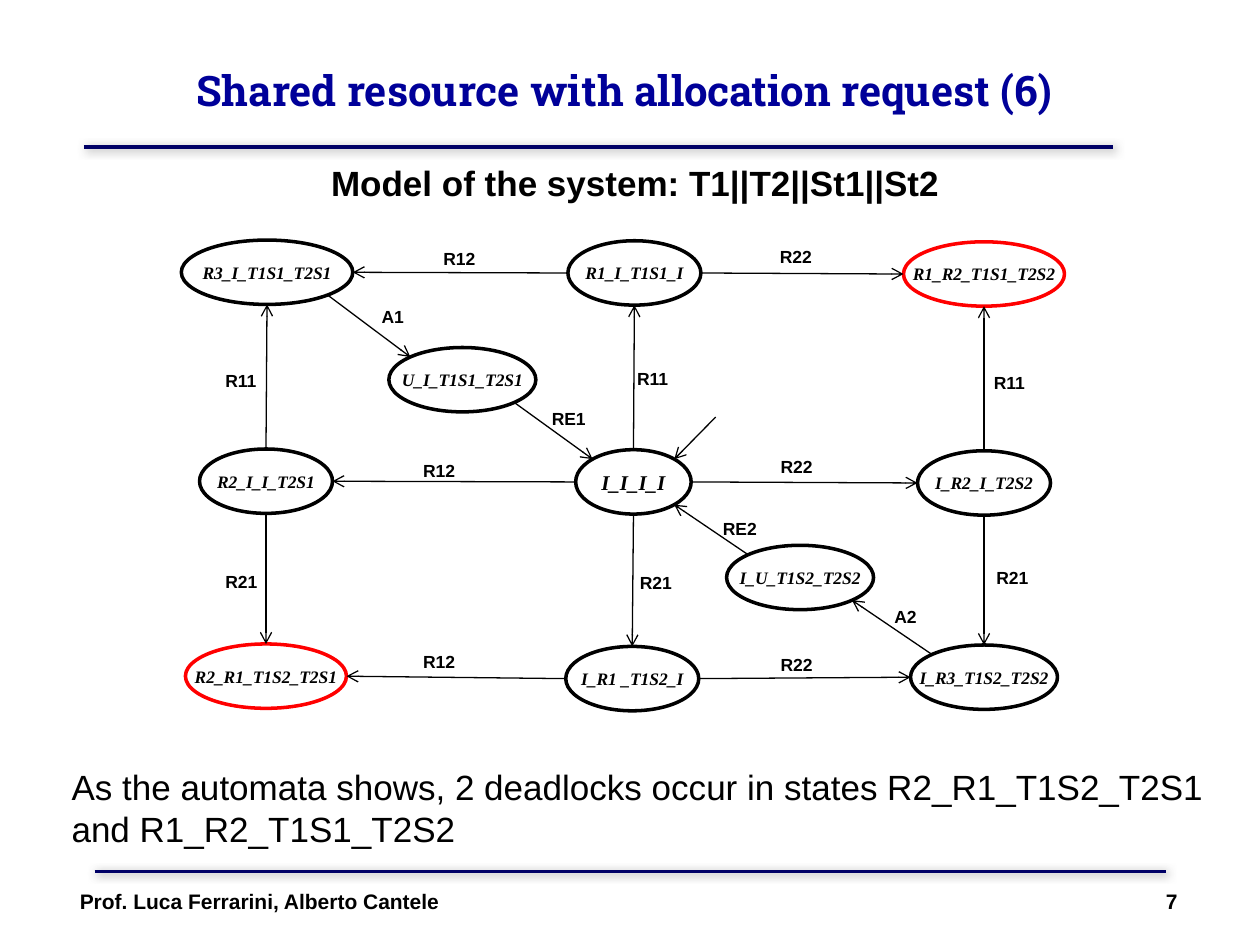
from lxml import etree
from pptx import Presentation, util as u
from pptx.dml import color
from pptx.enum import shapes, text
from pptx.oxml import ns

BLACK, RED, WHITE, NAVY, BLUE = "000000", "FF0000", "FFFFFF", "000066", "000099"
STATE_HEIGHT = 36.8
DIAGONAL = 0.5 ** 0.5
# Unit directions from the centre of a state to its border
SIDES = {
    "top": (0, -1), "bottom": (0, 1), "left": (-1, 0), "right": (1, 0),
    "top left": (-DIAGONAL, -DIAGONAL), "top right": (DIAGONAL, -DIAGONAL),
    "bottom left": (-DIAGONAL, DIAGONAL), "bottom right": (DIAGONAL, DIAGONAL),
}


def rgb(hex_colour):
    return color.RGBColor.from_string(hex_colour)


class Deck:
    """Style and current slide; every length is in points."""
    sans, serif, slab = "Arial", "Times New Roman", "Roboto Slab"

    def __init__(self, width, height):
        self.prs = Presentation()
        self.prs.slide_width, self.prs.slide_height = u.Pt(width), u.Pt(height)
        self.slide = self.prs.slides.add_slide(self.prs.slide_layouts[5])

    def set_words(self, shape, words, size, font, colour=BLACK, bold=True,
                  italic=False, align=text.PP_ALIGN.LEFT):
        frame = shape.text_frame
        frame.text = words
        for paragraph in frame.paragraphs:
            paragraph.alignment = align
            for run in paragraph.runs:
                run.font.size, run.font.name = u.Pt(size), font
                run.font.bold, run.font.italic = bold, italic
                run.font.color.rgb = rgb(colour)

    def title(self, words, left, top, width, height):
        heading = self.slide.shapes.title
        heading.left, heading.top = u.Pt(left), u.Pt(top)
        heading.width, heading.height = u.Pt(width), u.Pt(height)
        heading.text_frame.auto_size = text.MSO_AUTO_SIZE.NONE
        heading.text_frame.vertical_anchor = text.MSO_ANCHOR.MIDDLE
        self.set_words(heading, words, 24, self.slab, BLUE,
                       align=text.PP_ALIGN.CENTER)

    def textbox(self, words, left, top, width, height, size, **style):
        box = self.slide.shapes.add_textbox(
            u.Pt(left), u.Pt(top), u.Pt(width), u.Pt(height))
        box.text_frame.word_wrap = True
        self.set_words(box, words, size, self.sans, **style)

    def state(self, name, centre_x, centre_y, width, outline=BLACK, size=10):
        oval = self.slide.shapes.add_shape(
            shapes.MSO_SHAPE.OVAL, u.Pt(centre_x - width / 2),
            u.Pt(centre_y - STATE_HEIGHT / 2), u.Pt(width), u.Pt(STATE_HEIGHT))
        oval.shadow.inherit = False
        oval.fill.solid()
        oval.fill.fore_color.rgb = rgb(WHITE)
        oval.line.color.rgb = rgb(outline)
        oval.line.width = u.Pt(2)
        frame = oval.text_frame
        frame.word_wrap = False
        frame.vertical_anchor = text.MSO_ANCHOR.MIDDLE
        frame.margin_left = frame.margin_right = 0
        frame.margin_top = frame.margin_bottom = 0
        self.set_words(oval, name, size, self.serif, italic=True,
                       align=text.PP_ALIGN.CENTER)

    def line(self, start, end, colour, width):
        connector = self.slide.shapes.add_connector(
            shapes.MSO_CONNECTOR.STRAIGHT, *(u.Pt(v) for v in (*start, *end)))
        connector.line.color.rgb = rgb(colour)
        connector.line.width = u.Pt(width)
        effects = etree.SubElement(connector._element.spPr, ns.qn("a:effectLst"))
        return connector, effects

    def arrow(self, start, end):
        connector, _ = self.line(start, end, BLACK, 0.75)
        etree.SubElement(connector.line._get_or_add_ln(),
                         ns.qn("a:tailEnd"), type="arrow")

    def rule(self, left, right, y):
        _, effects = self.line((left, y), (right, y), NAVY, 2.25)
        shadow = etree.SubElement(
            effects, ns.qn("a:outerShdw"), blurRad=str(u.Pt(5)),
            dist=str(u.Pt(1.4)), dir="2700000", algn="ctr", rotWithShape="0")
        grey = etree.SubElement(shadow, ns.qn("a:srgbClr"), val="808080")
        etree.SubElement(grey, ns.qn("a:alpha"), val="75000")


# name: centre x, centre y, width, and outline or size where they differ
STATES = {
    "I_I_I_I": (362, 275.4, 66, BLACK, 12),
    "R1_I_T1S1_I": (362.5, 156, 76),
    "I_R2_I_T2S2": (562.3, 276, 76),
    "I_R1 _T1S2_I": (361.3, 387.8, 76),
    "R2_I_I_T2S1": (152, 275, 76),
    "I_R3_T1S2_T2S2": (562.3, 387, 84),
    "I_U_T1S2_T2S2": (457.2, 330, 84),
    "R3_I_T1S1_T2S1": (152.6, 155.6, 98),
    "U_I_T1S1_T2S1": (264.2, 217, 84),
    "R1_R2_T1S1_T2S2": (562.3, 156.6, 92, RED),
    "R2_R1_T1S2_T2S1": (152, 386.4, 92, RED),
}
# from state, side, to state, side, label, label left, label top
TRANSITIONS = [
    ("I_I_I_I", "top", "R1_I_T1S1_I", "bottom", "R11", 357, 206.6),
    ("I_I_I_I", "right", "I_R2_I_T2S2", "left", "R22", 439, 257),
    ("I_I_I_I", "bottom", "I_R1 _T1S2_I", "top", "R21", 358.5, 323.3),
    ("I_I_I_I", "left", "R2_I_I_T2S1", "right", "R12", 234.7, 259.2),
    ("R2_I_I_T2S1", "top", "R3_I_T1S1_T2S1", "bottom", "R11", 121.7, 208),
    ("R2_I_I_T2S1", "bottom", "R2_R1_T1S2_T2S1", "top", "R21", 121.7, 322.5),
    ("I_R2_I_T2S2", "top", "R1_R2_T1S1_T2S2", "bottom", "R11", 560.8, 208.8),
    ("I_R2_I_T2S2", "bottom", "I_R3_T1S2_T2S2", "top", "R21", 562.3, 320.4),
    ("R1_I_T1S1_I", "left", "R3_I_T1S1_T2S1", "right", "R12", 246.3, 138.2),
    ("R1_I_T1S1_I", "right", "R1_R2_T1S1_T2S2", "left", "R22", 438.5, 136.8),
    ("I_R1 _T1S2_I", "left", "R2_R1_T1S2_T2S1", "right", "R12", 234.7, 368.6),
    ("I_R1 _T1S2_I", "right", "I_R3_T1S2_T2S2", "left", "R22", 439, 370),
    ("R3_I_T1S1_T2S1", "bottom right", "U_I_T1S1_T2S1", "top left",
     "A1", 211, 171.4),
    ("U_I_T1S1_T2S1", "bottom right", "I_I_I_I", "top left",
     "RE1", 308.2, 229.7),
    ("I_R3_T1S2_T2S2", "top left", "I_U_T1S2_T2S2", "bottom right",
     "A2", 504, 342.7),
    ("I_U_T1S2_T2S2", "top left", "I_I_I_I", "bottom right",
     "RE2", 406, 292.3),
]


def border(name, side):
    centre_x, centre_y, width = STATES[name][:3]
    across, down = SIDES[side]
    return centre_x + across * width / 2, centre_y + down * STATE_HEIGHT / 2


def main():
    deck = Deck(720, 540)

    # Heading
    deck.rule(48, 636, 84)
    deck.title("Shared resource with allocation request (6)", 51, 6, 612, 90)
    deck.textbox("Model of the system: T1||T2||St1||St2", 42.5, 88.5, 641, 32,
                 20, align=text.PP_ALIGN.CENTER)

    # Automaton
    for name, layout in STATES.items():
        deck.state(name, *layout)
    for source, out_side, target, in_side, label, left, top in TRANSITIONS:
        deck.arrow(border(source, out_side), border(target, in_side))
        deck.textbox(label, left, top, 38, 19.4, 10)
    deck.arrow((409, 238.3), border("I_I_I_I", "top right"))

    # Conclusion
    deck.textbox("As the automata shows, 2 deadlocks occur in states "
                 "R2_R1_T1S2_T2S1 and R1_R2_T1S1_T2S2",
                 33.8, 434, 672, 55.5, 20, bold=False)

    # Footer
    deck.rule(54, 666, 498)
    deck.textbox("Prof. Luca Ferrarini, Alberto Cantele", 38.5, 504, 400, 36, 12)
    deck.textbox("7", 600, 504, 80, 36, 12, align=text.PP_ALIGN.RIGHT)

    deck.prs.save("out.pptx")


if __name__ == "__main__":
    main()
